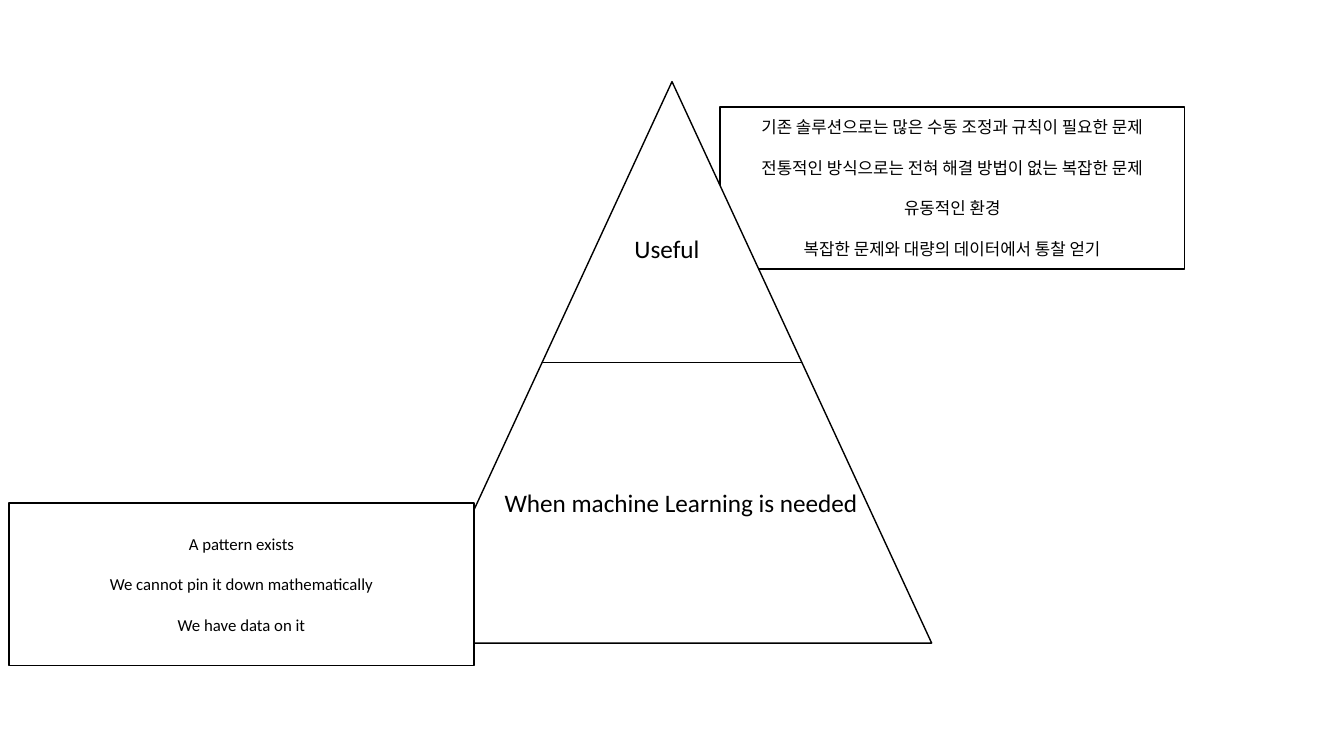
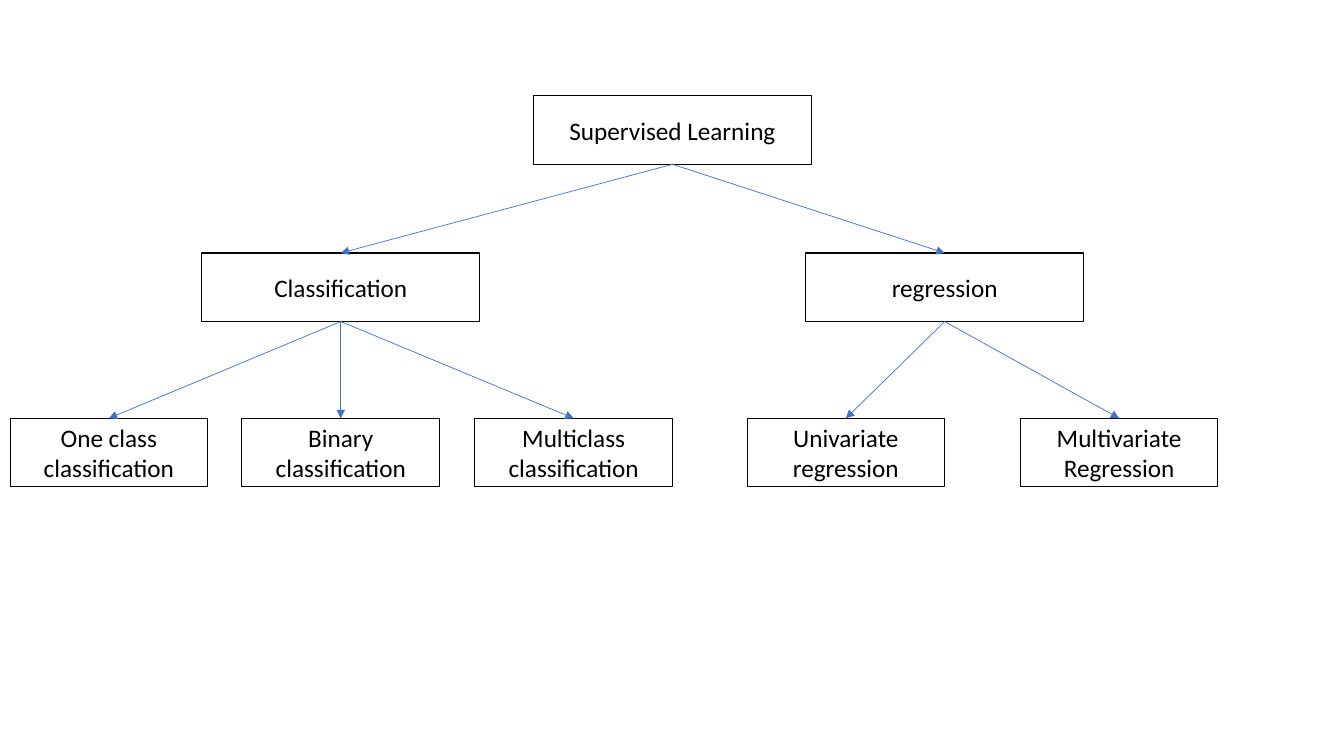
from pptx import Presentation
from pptx.dml.color import RGBColor
from pptx.enum.shapes import MSO_CONNECTOR, MSO_SHAPE
from pptx.enum.text import MSO_ANCHOR, PP_ALIGN
from pptx.oxml.ns import qn
from pptx.util import Inches, Pt
from lxml import etree

RECT, TRIANGLE = MSO_SHAPE.RECTANGLE, MSO_SHAPE.ISOSCELES_TRIANGLE
STRAIGHT = MSO_CONNECTOR.STRAIGHT
CENTER, MIDDLE = PP_ALIGN.CENTER, MSO_ANCHOR.MIDDLE
BLANK_LAYOUT = 6
BOTTOM_SIDE, TOP_SIDE = 2, 0

FONT = "Calibri"
COLORS = {"ink": "000000", "paper": "FFFFFF", "arrow": "4472C4"}

# Pyramid slide: left, top, width, height in inches
PYRAMID = (4.09, 0.81, 5.15, 5.57)
CALLOUT_SIZE = (4.61, 1.61)
USEFUL_CASES = (7.14, 1.06), [
    "기존 솔루션으로는 많은 수동 조정과 규칙이 필요한 문제",
    "전통적인 방식으로는 전혀 해결 방법이 없는 복잡한 문제",
    "유동적인 환경",
    "복잡한 문제와 대량의 데이터에서 통찰 얻기",
]
NEEDED_CASES = (0.09, 4.99), [
    "A pattern exists",
    "We cannot pin it down mathematically",
    "We have data on it",
]
PYRAMID_LABELS = [
    ("Useful", (6.19, 2.27, 0.85, 0.4)),
    ("When machine Learning is needed", (4.88, 4.79, 3.75, 0.4)),
]

# Tree slide: each node is (lines, centre x, children)
TREE = (["Supervised Learning"], 6.67, [
    (["Classification"], 3.38, [
        (["One class classification"], 1.08, []),
        (["Binary", "classification"], 3.38, []),
        (["Multiclass", "classification"], 5.69, []),
    ]),
    (["regression"], 9.37, [
        (["Univariate regression"], 8.39, []),
        (["Multivariate Regression"], 11.1, []),
    ]),
])
LEVELS = [(0.95, 2.76), (2.51, 2.76), (4.15, 1.96)]  # top, box width
NODE_HEIGHT = 0.68


def color(name):
    return RGBColor.from_string(COLORS[name])


def write(shape, lines, size, gap=0):
    tf = shape.text_frame
    tf.text = "\n".join(lines)
    for i, p in enumerate(tf.paragraphs):
        p.alignment = CENTER
        p.font.name, p.font.size = FONT, Pt(size)
        p.font.color.rgb = color("ink")
        p.space_before = Pt(gap if i else 0)


def add_outline(s, kind, box, weight, fill=None):
    shape = s.shapes.add_shape(kind, *map(Inches, box))
    shape.shadow.inherit = False
    if fill:
        shape.fill.solid()
        shape.fill.fore_color.rgb = color(fill)
    else:
        shape.fill.background()
    shape.line.color.rgb = color("ink")
    shape.line.width = Pt(weight)
    shape.text_frame.word_wrap = True
    shape.text_frame.vertical_anchor = MIDDLE
    return shape


def add_line(s, start, end, line_color):
    line = s.shapes.add_connector(STRAIGHT, *map(Inches, (*start, *end)))
    line.line.color.rgb = color(line_color)
    line.line.width = Pt(0.5)
    etree.SubElement(line._element.spPr, qn("a:effectLst"))
    return line


def add_arrow(s, parent, child):
    """Arrow from the parent's bottom side to the child's top side."""
    arrow = add_line(s, (0, 0), (1, 1), "arrow")
    arrow.begin_connect(parent, BOTTOM_SIDE)
    arrow.end_connect(child, TOP_SIDE)
    etree.SubElement(arrow.line._get_or_add_ln(), qn("a:tailEnd"), type="triangle")


def add_callout(s, corner, lines):
    write(add_outline(s, RECT, (*corner, *CALLOUT_SIZE), 1, "paper"), lines, 12, gap=14.5)


def add_node(s, node, level=0):
    """Draw a node and everything below it; return the node's box."""
    lines, center, children = node
    top, width = LEVELS[level]
    box = add_outline(s, RECT, (center - width / 2, top, width, NODE_HEIGHT), 0.75)
    write(box, lines, 18)
    for child in children:
        add_arrow(s, box, add_node(s, child, level + 1))
    return box


def build_pyramid(s):
    left, top, width, height = PYRAMID
    middle = top + height / 2
    add_callout(s, *USEFUL_CASES)
    add_outline(s, TRIANGLE, PYRAMID, 1, "paper")
    add_line(s, (left + width / 4, middle), (left + width * 3 / 4, middle), "ink")
    add_callout(s, *NEEDED_CASES)
    for text, box in PYRAMID_LABELS:
        label = s.shapes.add_textbox(*map(Inches, box))
        label.text_frame.word_wrap = False
        write(label, [text], 18)


def main():
    prs = Presentation()
    prs.slide_width, prs.slide_height = Inches(13.33), Inches(7.5)
    layout = prs.slide_layouts[BLANK_LAYOUT]
    build_pyramid(prs.slides.add_slide(layout))
    add_node(prs.slides.add_slide(layout), TREE)
    prs.save("out.pptx")


if __name__ == "__main__":
    main()
